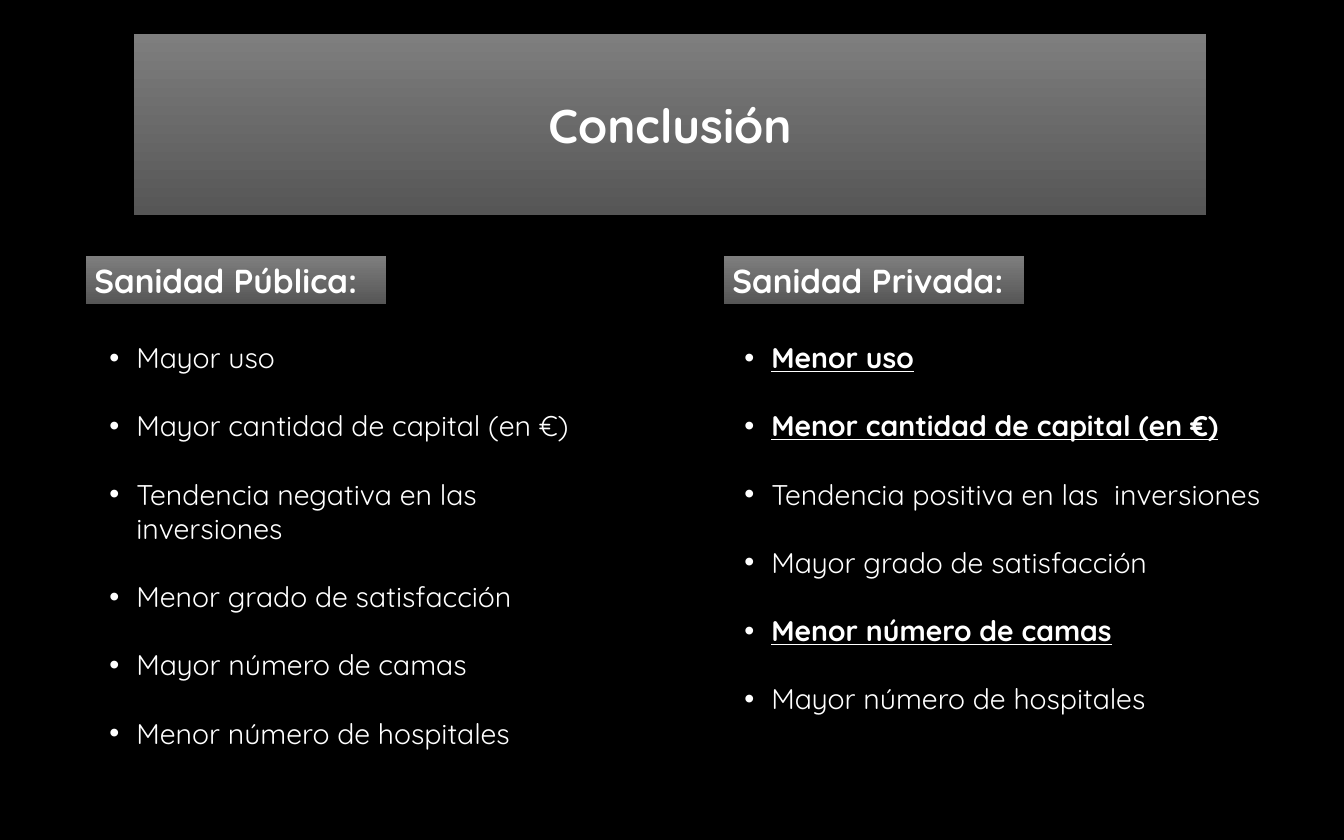
"""Build the conclusion slide comparing public and private healthcare."""
from lxml import etree
from pptx import Presentation, util as u
from pptx.dml.color import RGBColor
from pptx.enum import shapes, text
from pptx.oxml import ns

PX = 914400 * 12 / 1024
BLACK = RGBColor(0x00, 0x00, 0x00)
WHITE = RGBColor(0xFF, 0xFF, 0xFF)
BANNER_TOP = RGBColor(0x7E, 0x7E, 0x7E)
BANNER_BOTTOM = RGBColor(0x56, 0x56, 0x56)
BULLET_INDENT = 27


def px(n):
    return u.Emu(round(n * PX))


def write(p, words, size, bold=False, underline=False, align=text.PP_ALIGN.LEFT,
          bullet=False, before=0):
    p.alignment = align
    p.space_before = u.Pt(before)
    if bullet:
        pPr = p._p.get_or_add_pPr()
        pPr.set("marL", str(px(BULLET_INDENT)))
        pPr.set("indent", str(-px(BULLET_INDENT)))
        etree.SubElement(pPr, ns.qn("a:buFont")).set("typeface", "Arial")
        etree.SubElement(pPr, ns.qn("a:buChar")).set("char", "•")
    r = p.add_run()
    r.text = words
    r.font.name = "Quicksand"
    r.font.size = u.Pt(size)
    r.font.bold = bold
    r.font.underline = underline
    r.font.color.rgb = WHITE


prs = Presentation()
prs.slide_width, prs.slide_height = px(1344), px(840)
s = prs.slides.add_slide(prs.slide_layouts[5])
s.background.fill.solid()
s.background.fill.fore_color.rgb = BLACK

title = s.shapes.title
title.left, title.top, title.width, title.height = px(134), px(34), px(1072), px(181)
write(title.text_frame.paragraphs[0], "Conclusión", 40, bold=True,
      align=text.PP_ALIGN.CENTER)
banners = [title]

columns = [
    ("Sanidad Pública:", 86, 101, [
        ("Mayor uso", False),
        ("Mayor cantidad de capital (en €)", False),
        ("Tendencia negativa en las inversiones", False),
        ("Menor grado de satisfacción", False),
        ("Mayor número de camas", False),
        ("Menor número de hospitales", False),
    ]),
    ("Sanidad Privada:", 724, 736, [
        ("Menor uso", True),
        ("Menor cantidad de capital (en €)", True),
        ("Tendencia positiva en las  inversiones", False),
        ("Mayor grado de satisfacción", False),
        ("Menor número de camas", True),
        ("Mayor número de hospitales", False),
    ]),
]
for heading, heading_x, list_x, points in columns:
    sp = s.shapes.add_shape(shapes.MSO_SHAPE.RECTANGLE,
                            px(heading_x), px(256), px(300), px(48))
    write(sp.text_frame.paragraphs[0], heading, 28, bold=True)
    banners.append(sp)

    tf = s.shapes.add_textbox(px(list_x), px(336), px(533), px(422)).text_frame
    tf.word_wrap = True
    for i, (point, stressed) in enumerate(points):
        p = tf.add_paragraph() if i else tf.paragraphs[0]
        write(p, point, 24, bold=stressed, underline=stressed, bullet=True,
              before=28.8 if i else 0)

for sp in banners:
    sp.shadow.inherit = False
    sp.line.fill.background()
    sp.fill.gradient()
    sp.fill.gradient_angle = 270
    for stop, colour, position in zip(sp.fill.gradient_stops,
                                      (BANNER_TOP, BANNER_BOTTOM), (0, 1)):
        stop.color.rgb = colour
        stop.position = position
    sp.text_frame.word_wrap = True
    sp.text_frame.auto_size = text.MSO_AUTO_SIZE.NONE
    sp.text_frame.vertical_anchor = text.MSO_ANCHOR.MIDDLE

prs.save("out.pptx")
